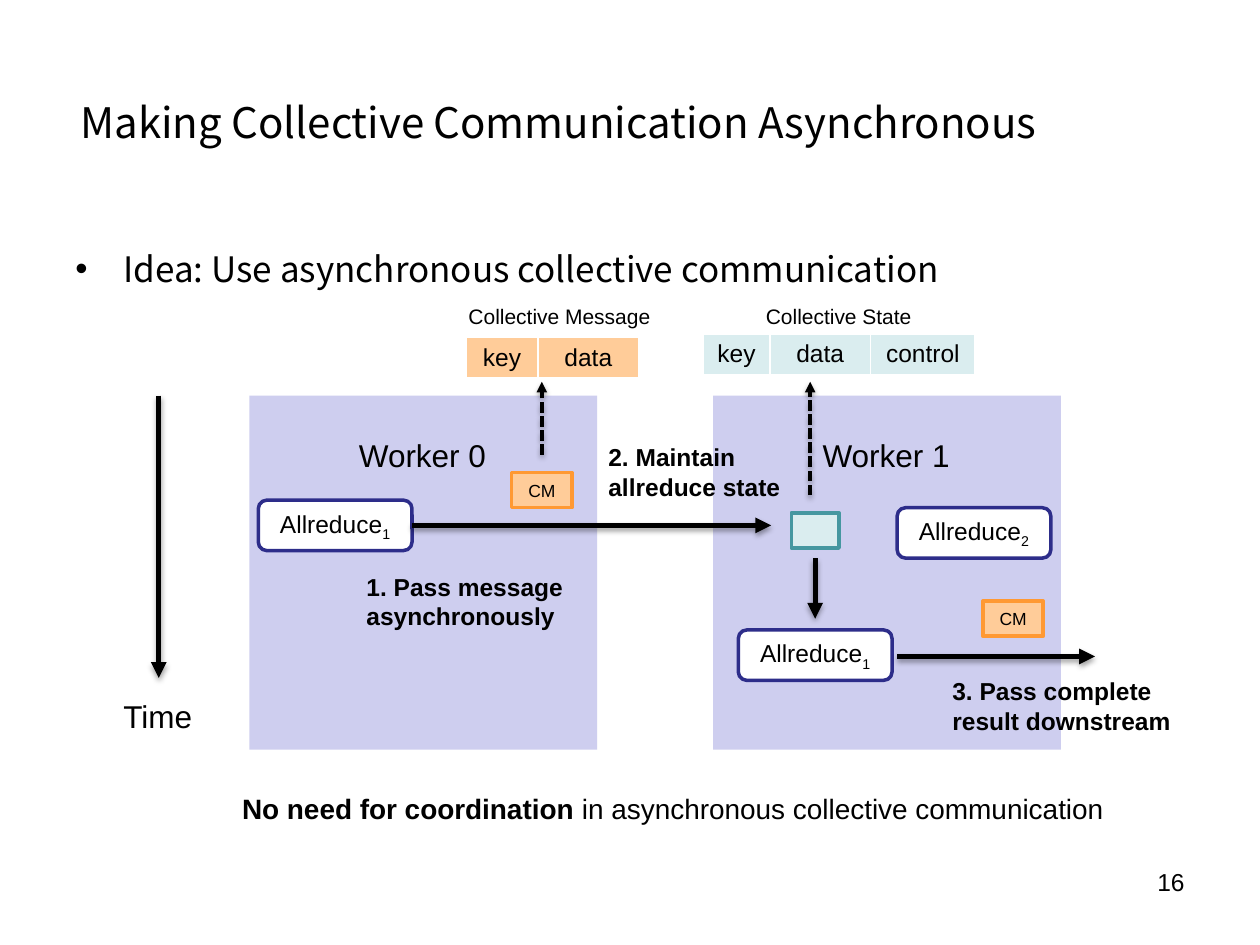
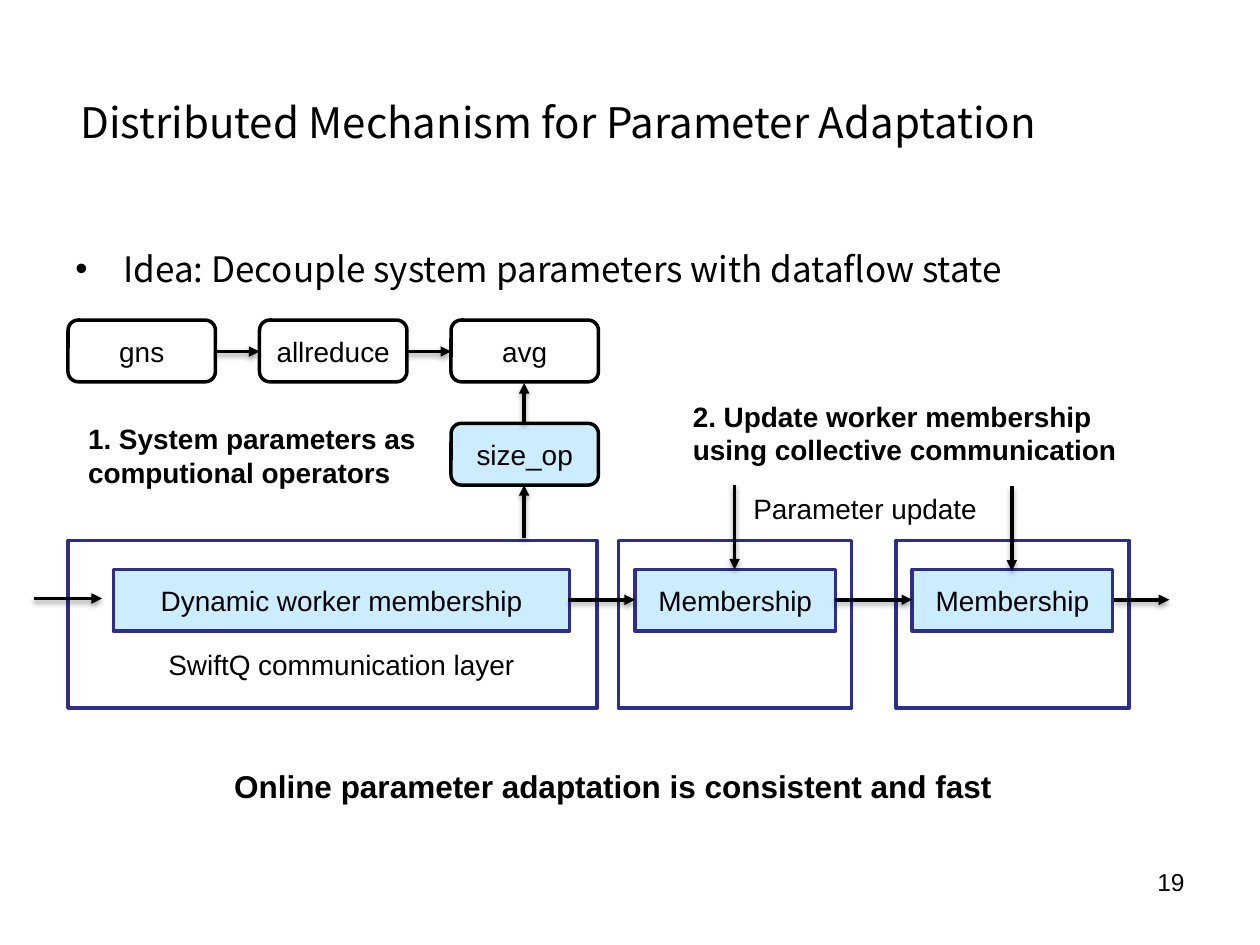
from lxml import etree
from pptx import Presentation
from pptx.dml.color import RGBColor
from pptx.enum.dml import MSO_LINE
from pptx.enum.shapes import MSO_CONNECTOR, MSO_SHAPE
from pptx.enum.text import MSO_ANCHOR, PP_ALIGN
from pptx.oxml.ns import qn
from pptx.util import Emu, Pt

PX = 9144  # one px is a hundredth of an inch
RECT, ROUND = MSO_SHAPE.RECTANGLE, MSO_SHAPE.ROUNDED_RECTANGLE
STRAIGHT = MSO_CONNECTOR.STRAIGHT
DASHED = MSO_LINE.SQUARE_DOT
LEFT, CENTER, RIGHT = PP_ALIGN.LEFT, PP_ALIGN.CENTER, PP_ALIGN.RIGHT
TOP, MIDDLE = MSO_ANCHOR.TOP, MSO_ANCHOR.MIDDLE

BODY_FONT, HEADING_FONT = "Arial", "Noto Sans CJK SC"
BLACK, WHITE = "000000", "FFFFFF"
NAVY, LAVENDER, SKY = "2D2D8A", "CECEEF", "CCECFF"
ORANGE, PEACH = "FF9933", "FFCC99"
TEAL, MINT = "4597A0", "DAEDEF"


def px(*lengths):
    return [Emu(length * PX) for length in lengths]


def color(value):
    return RGBColor.from_string(value)


def add_child(parent, tag, **attributes):
    child = etree.SubElement(parent, qn(tag))
    for name, value in attributes.items():
        child.set(name, str(value))
    return child


# Text

def write(frame, text, size=14, bold=False, align=LEFT, anchor=TOP,
          wrap=True, font=BODY_FONT, subscript="", plain_end=""):
    frame.word_wrap = wrap
    frame.vertical_anchor = anchor
    para = frame.paragraphs[0]
    para.alignment = align
    for words, heavy, offset in ((text, bold, 0), (subscript, bold, -25000),
                                 (plain_end, False, 0)):
        if not words:
            continue
        span = para.add_run()
        span.text = words
        span.font.name = font
        span.font.size = Pt(size)
        span.font.bold = heavy
        span.font.color.rgb = color(BLACK)
        if offset:
            span.font._element.set("baseline", str(offset))
    return para


def add_label(page, text, at, **style):
    box = page.shapes.add_textbox(*px(*at))
    return write(box.text_frame, text, **style)


# Shapes, arrows and tables

def add_box(page, at, fill=WHITE, line=None, text="", kind=RECT, **style):
    box = page.shapes.add_shape(kind, *px(*at))
    box.shadow.inherit = False
    box.fill.solid()
    box.fill.fore_color.rgb = color(fill)
    if line:
        box.line.color.rgb = color(line)
        box.line.width = Pt(2)
    else:
        box.line.fill.background()
    if text:
        write(box.text_frame, text, align=CENTER, anchor=MIDDLE, **style)


def add_arrow(page, start, end, width=2, dash=None):
    arrow = page.shapes.add_connector(STRAIGHT, *px(*start, *end))
    arrow.line.color.rgb = color(BLACK)
    arrow.line.width = Pt(width)
    if dash:
        arrow.line.dash_style = dash
    add_child(arrow.line._get_or_add_ln(), "a:tailEnd", type="triangle")
    effects = add_child(arrow._element.spPr, "a:effectLst")
    shadow = add_child(effects, "a:outerShdw", blurRad=Pt(3.1),
                       dist=Pt(1.7), dir=90 * 60000, rotWithShape=0)
    shade = add_child(shadow, "a:srgbClr", val=BLACK)
    add_child(shade, "a:alpha", val=36000)


def add_border(cell, side, width):
    line = etree.Element(qn(side), w=str(Pt(width)))
    add_child(add_child(line, "a:solidFill"), "a:srgbClr", val=WHITE)
    return line


def add_fields(page, left, top, fill, fields):
    """Draw a one-row record; fields maps each name to its width."""
    frame = page.shapes.add_table(1, len(fields),
                                  *px(left, top, sum(fields.values()), 31))
    table = frame.table
    table.first_row = table.horz_banding = False
    for index, (name, width) in enumerate(fields.items()):
        table.columns[index].width = px(width)[0]
        cell = table.cell(0, index)
        cell.fill.solid()
        cell.fill.fore_color.rgb = color(fill)
        write(cell.text_frame, name, align=CENTER)
        borders = (("a:lnL", 1), ("a:lnR", 1), ("a:lnT", 1), ("a:lnB", 3))
        properties = cell._tc.get_or_add_tcPr()
        for place, (side, weight) in enumerate(borders):
            properties.insert(place, add_border(cell, side, weight))


def add_page(deck, title, idea, number):
    page = deck.slides.add_slide(deck.slide_layouts[6])
    add_label(page, title, (54, 61, 828, 71), size=24, anchor=MIDDLE,
              font=HEADING_FONT)
    para = add_label(page, idea, (50, 175, 900, 495), size=20,
                     font=HEADING_FONT)
    para.line_spacing = 1.5
    para.space_before = Pt(4)
    properties = para._p.get_or_add_pPr()
    indent = px(38)[0]
    properties.set("marL", str(indent))
    properties.set("indent", str(-indent))
    add_child(properties, "a:buFont", typeface=BODY_FONT)
    add_child(properties, "a:buChar", char="•")
    add_label(page, number, (717, 683, 233, 52), align=RIGHT)
    return page


# Slide contents

def add_allreduce(page, left, top, index):
    add_box(page, (left, top, 122, 40), line=NAVY, kind=ROUND,
            text="Allreduce", subscript=index)


def add_message(page, left, top):
    add_box(page, (left, top, 48, 28), PEACH, ORANGE, "CM", size=10)


def build_asynchronous_page(deck):
    page = add_page(deck, "Making Collective Communication Asynchronous",
                    "Idea: Use asynchronous collective communication", "16")

    # Workers and time axis
    for name, left in (("Worker 0", 198), ("Worker 1", 566)):
        add_box(page, (left, 314, 276, 281), LAVENDER)
        add_label(page, name, (left + 77, 341, 122, 40), size=18, wrap=False)
    add_arrow(page, (126, 314), (126, 538), 3)
    add_label(page, "Time", (88, 548, 75, 40), size=18, wrap=False)

    # Operators, messages and state
    for left, top, index in ((205, 397, "1"), (712, 403, "2"),
                             (586, 500, "1")):
        add_allreduce(page, left, top, index)
    add_message(page, 406, 375)
    add_message(page, 780, 477)
    add_box(page, (628, 407, 38, 28), MINT, TEAL)

    # Record layouts
    add_fields(page, 370, 268, PEACH, {"key": 57, "data": 80})
    add_fields(page, 558, 265, MINT, {"key": 53, "data": 80, "control": 83})
    add_label(page, "Collective Message", (362, 236, 166, 30), size=12,
              wrap=False)
    add_label(page, "Collective State", (598, 236, 137, 30), size=12,
              wrap=False)
    add_arrow(page, (430, 361), (430, 303), dash=DASHED)
    add_arrow(page, (643, 393), (643, 303), dash=DASHED)

    # Message flow and its steps
    for start, end in (((327, 417), (612, 417)), ((647, 443), (647, 491)),
                       ((712, 521), (869, 521))):
        add_arrow(page, start, end, 3)
    for step, at in (
            ("1. Pass message asynchronously", (281, 449, 192, 57)),
            ("2. Maintain allreduce state", (473, 346, 192, 57)),
            ("3. Pass complete result downstream", (746, 532, 195, 57))):
        add_label(page, step, at, bold=True)

    add_label(page, "No need for coordination ", (176, 623, 716, 37), size=16,
              bold=True, align=CENTER,
              plain_end="in asynchronous collective communication")


def build_adaptation_page(deck):
    page = add_page(deck, "Distributed Mechanism for Parameter Adaptation",
                    "Idea: Decouple system parameters with dataflow state",
                    "19")

    # Dataflow operators
    operator_width, pitch = 117, 152
    for index, name in enumerate(("gns", "allreduce", "avg")):
        left = 54 + index * pitch
        add_box(page, (left, 254, operator_width, 49), WHITE, BLACK, name,
                ROUND, size=16)
        if index:
            add_arrow(page, (left - pitch + operator_width, 279), (left, 279))
    add_box(page, (358, 336, operator_width, 49), SKY, BLACK, "size_op",
            ROUND, size=16)

    # Workers with their membership
    for left, width, inset, name in (
            (54, 420, (36, 362), "Dynamic worker membership"),
            (491, 185, (13, 159), "Membership"),
            (711, 185, (13, 159), "Membership")):
        add_box(page, (left, 429, width, 133), line=NAVY)
        offset, inner_width = inset
        add_box(page, (left + offset, 452, inner_width, 49), SKY, NAVY, name,
                size=16)
    add_label(page, "SwiftQ communication layer", (90, 509, 362, 37), size=16,
              align=CENTER)

    # Vertical links
    for x, start, end in ((416, 336, 304), (416, 427, 385),
                          (583, 385, 452), (803, 386, 453)):
        add_arrow(page, (x, start), (x, end))

    # Links between workers
    for start, end, y in ((27, 81, 475), (451, 504, 476), (663, 724, 476),
                          (884, 928, 476)):
        add_arrow(page, (start, y), (end, y))

    # Steps and conclusion
    add_label(page, "1. System parameters as computional operators",
              (60, 330, 298, 64), size=16, bold=True)
    add_label(page, "2. Update worker membership using collective "
              "communication", (540, 312, 400, 64), size=16, bold=True)
    add_label(page, "Parameter update", (588, 385, 208, 37), size=16)
    add_label(page, "Online parameter adaptation is consistent and fast",
              (176, 604, 649, 40), size=18, bold=True)


def main():
    deck = Presentation()
    deck.slide_width, deck.slide_height = px(1000, 750)
    build_asynchronous_page(deck)
    build_adaptation_page(deck)
    deck.save("out.pptx")


if __name__ == "__main__":
    main()
